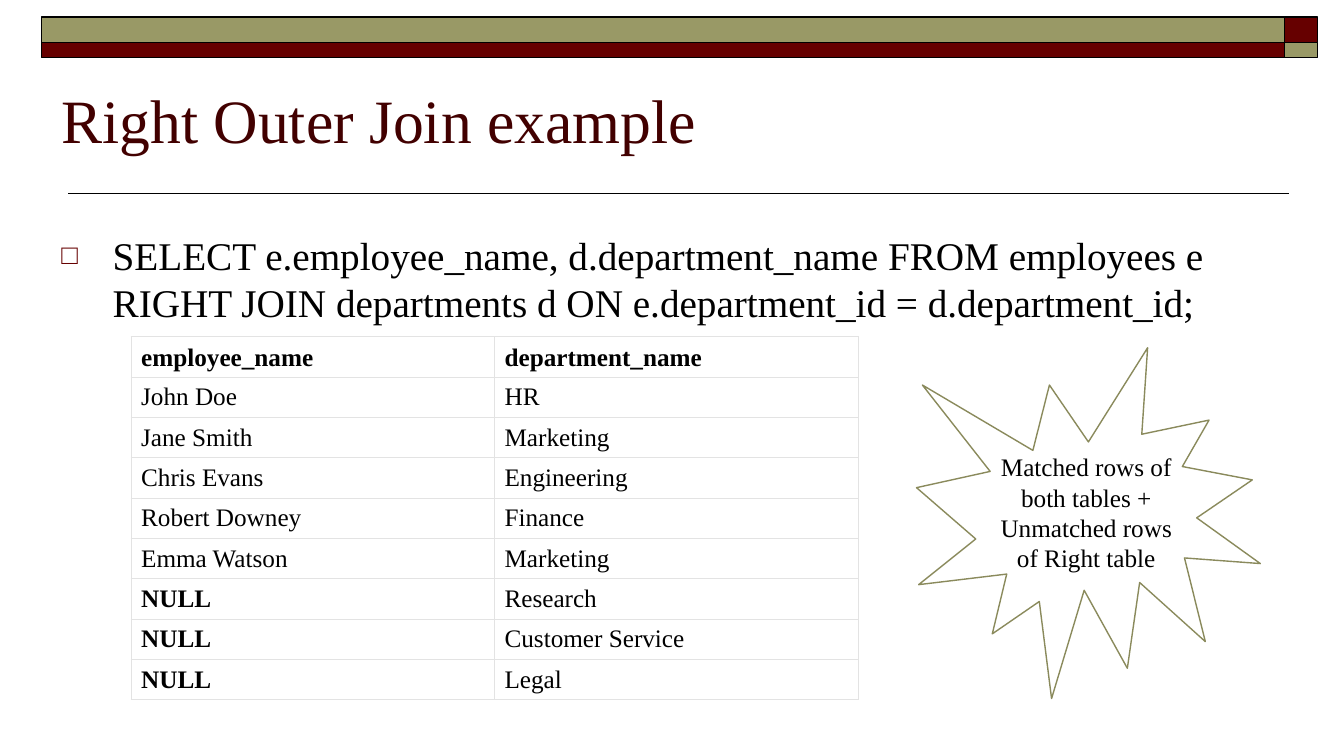
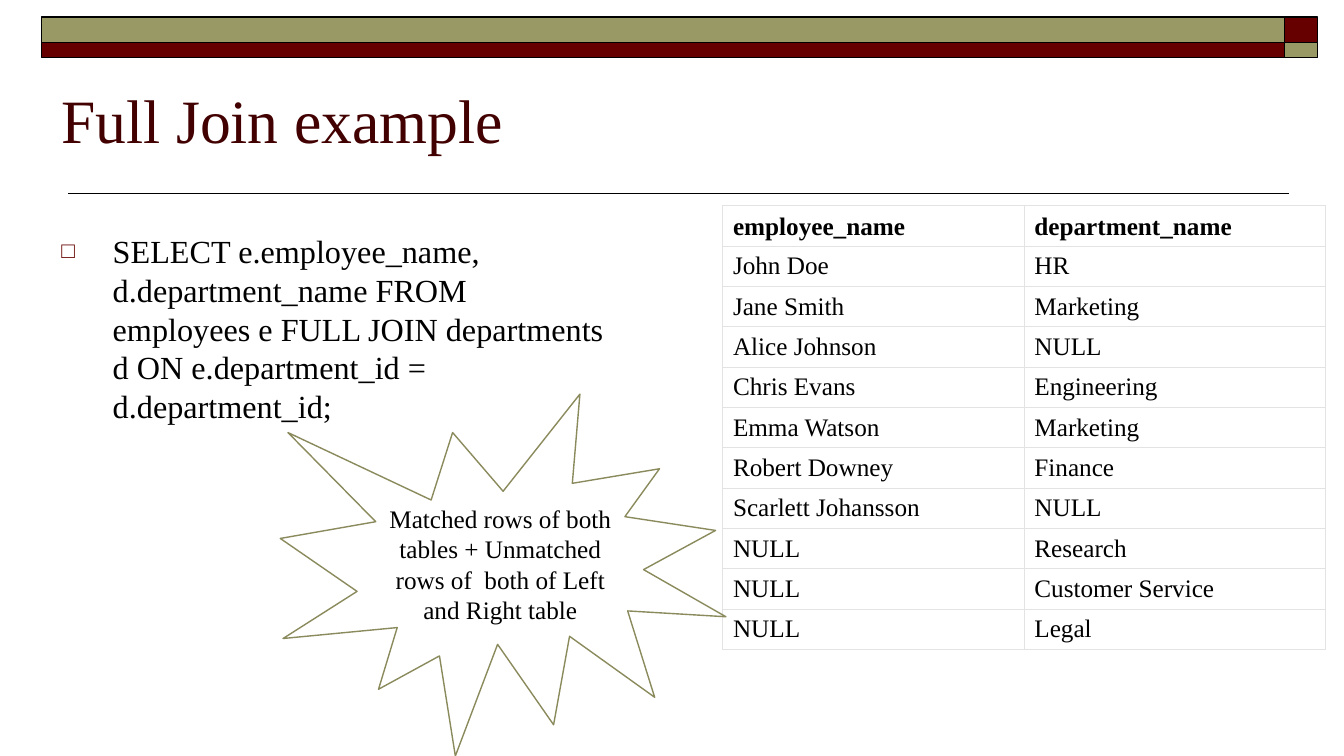
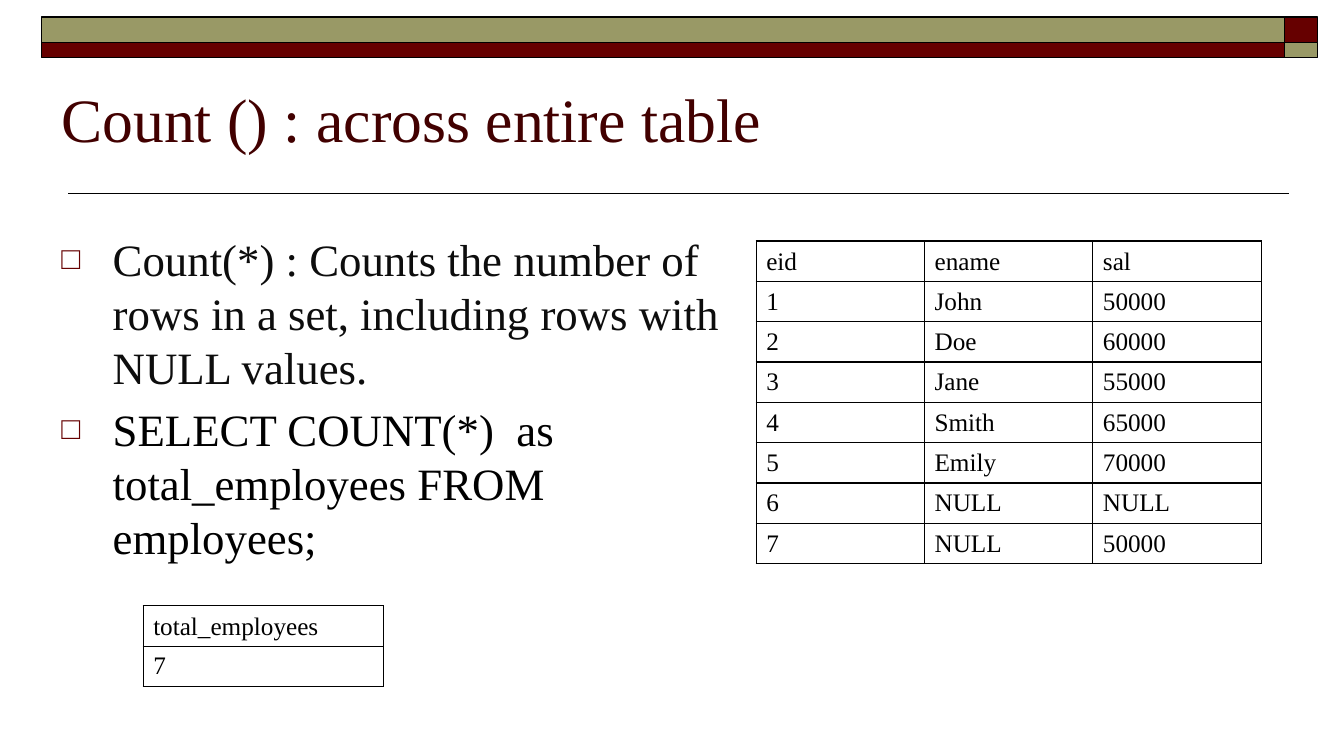
from dataclasses import dataclass
from typing import Any

from lxml.etree import SubElement
from pptx import Presentation
from pptx.dml.color import RGBColor
from pptx.enum.shapes import MSO_CONNECTOR as Connector, MSO_SHAPE as Preset
from pptx.enum.text import MSO_ANCHOR as Anchor, MSO_AUTO_SIZE as AutoSize, PP_ALIGN as Align
from pptx.oxml import parse_xml
from pptx.oxml.ns import nsdecls, qn
from pptx.util import Inches, Pt

FONT = "Times New Roman"
BLACK, WHITE, NEAR_BLACK = "000000", "FFFFFF", "0D0D0D"
MAROON, OLIVE, DARK_OLIVE = "660000", "999966", "8A8A5C"
TITLE_COLOUR, PALE_GREY = "420000", "E3E3E3"
LEFT = 0.51
ROW_HEIGHT = 0.37


@dataclass(frozen=True)
class Box:
    left: float
    top: float
    width: float
    height: float

    def lengths(self) -> tuple:
        return tuple(Inches(value) for value in (self.left, self.top, self.width, self.height))


@dataclass(frozen=True)
class Band:
    box: Box
    colour: str


@dataclass(frozen=True)
class Bullet:
    text: str
    colour: str = BLACK


@dataclass(frozen=True)
class Grid:
    left: float
    top: float
    width: float
    rows: tuple[str, ...]
    border: str = PALE_GREY
    border_points: float = 0.75
    fill: str | None = WHITE
    bold_header: bool = True
    bold_words: tuple[str, ...] = ()


@dataclass(frozen=True)
class Burst:
    box: Box
    text: str


@dataclass(frozen=True)
class Page:
    title: str
    body_width: float
    body_size: float
    bullets: tuple[Bullet, ...]
    grids: tuple[Grid, ...]
    burst: Burst | None = None
    title_top: float = 0.35


BANDS = tuple(
    Band(Box(left, top, width, height), colour)
    for left, width, colours in ((12.74, 0.33, (MAROON, OLIVE)), (0.41, 12.33, (OLIVE, MAROON)))
    for top, height, colour in zip((0.17, 0.42), (0.25, 0.15), colours)
)

PAGES = (
    Page(
        "Right Outer Join example", 12, 28,
        (Bullet("SELECT e.employee_name, d.department_name FROM employees e "
                "RIGHT JOIN departments d ON e.department_id = d.department_id;"),),
        (Grid(1.3, 3.34, 7.21, (
            "employee_name|department_name", "John Doe|HR", "Jane Smith|Marketing",
            "Chris Evans|Engineering", "Robert Downey|Finance", "Emma Watson|Marketing",
            "NULL|Research", "NULL|Customer Service", "NULL|Legal",
        ), bold_words=("NULL",)),),
        Burst(Box(9.09, 3.45, 3.41, 3.48),
              "Matched rows of both tables + Unmatched rows of Right table"),
    ),
    Page(
        "Full Join example", 5.62, 23,
        (Bullet("SELECT e.employee_name, d.department_name FROM employees e "
                "FULL JOIN departments d ON e.department_id = d.department_id;"),),
        (Grid(7.17, 2.04, 5.98, (
            "employee_name|department_name", "John Doe|HR", "Jane Smith|Marketing",
            "Alice Johnson|NULL", "Chris Evans|Engineering", "Emma Watson|Marketing",
            "Robert Downey|Finance", "Scarlett Johansson|NULL", "NULL|Research",
            "NULL|Customer Service", "NULL|Legal",
        )),),
        Burst(Box(2.78, 3.91, 4.42, 3.59),
              "Matched rows of both tables + Unmatched rows of  both of Left and Right table"),
    ),
    Page(
        "Count () : across entire table", 6.73, 32,
        (Bullet("Count(*) : Counts the number of rows in a set, "
                "including rows with NULL values.", NEAR_BLACK),
         Bullet("SELECT COUNT(*)  as total_employees FROM employees;")),
        (Grid(7.5, 2.39, 5.01, (
            "eid|ename|sal", "1|John|50000", "2|Doe|60000", "3|Jane|55000",
            "4|Smith|65000", "5|Emily|70000", "6|NULL|NULL", "7|NULL|50000",
        ), BLACK, 1, None, False),
         Grid(1.42, 6.01, 2.38, ("total_employees", "7"), BLACK, 1, None, False)),
        title_top=0.34,
    ),
)


def rgb(colour: str) -> RGBColor:
    return RGBColor.from_string(colour)


def set_attributes(target: Any, values: dict[str, Any]) -> None:
    for name, value in values.items():
        setattr(target, name, value)


def write(paragraph: Any, text: str, size: float, colour: str, bold: bool = False) -> None:
    run = paragraph.add_run()
    run.text = text
    set_attributes(run.font, {"name": FONT, "size": Pt(size), "bold": bold})
    run.font.color.rgb = rgb(colour)


def draw_shape(slide: Any, preset: Any, box: Box, fill: str, line: str) -> Any:
    shape = slide.shapes.add_shape(preset, *box.lengths())
    shape.shadow.inherit = False
    shape.fill.solid()
    shape.fill.fore_color.rgb = rgb(fill)
    shape.line.color.rgb = rgb(line)
    shape.line.width = Pt(1)
    return shape


def draw_frame(slide: Any) -> None:
    rule = slide.shapes.add_connector(
        Connector.STRAIGHT, Inches(12.78), Inches(1.92), Inches(0.67), Inches(1.92))
    rule.line.color.rgb = rgb(BLACK)
    rule.line.width = Pt(1)
    SubElement(rule._element.spPr, qn("a:effectLst"))
    for band in BANDS:
        draw_shape(slide, Preset.RECTANGLE, band.box, band.colour, BLACK)


def draw_title(slide: Any, page: Page) -> None:
    title = slide.shapes.title
    names = ("left", "top", "width", "height")
    set_attributes(title, dict(zip(names, Box(LEFT, page.title_top, 12, 1.25).lengths())))
    set_attributes(title.text_frame, {
        "auto_size": AutoSize.NONE, "word_wrap": True, "vertical_anchor": Anchor.BOTTOM})
    paragraph = title.text_frame.paragraphs[0]
    paragraph.alignment = Align.LEFT
    write(paragraph, page.title, 44, TITLE_COLOUR)


def add_bullet(paragraph: Any) -> None:
    properties = paragraph._p.get_or_add_pPr()
    properties.set("marL", str(Inches(LEFT)))
    properties.set("indent", str(-Inches(LEFT)))
    for tag in (f'buClr {nsdecls("a")}><a:srgbClr val="{MAROON}"/></a:buClr',
                f'buSzPct {nsdecls("a")} val="70000"/',
                f'buFont {nsdecls("a")} typeface="{FONT}"/',
                f'buChar {nsdecls("a")} char="□"/'):
        properties.append(parse_xml(f"<a:{tag}>"))


def draw_body(slide: Any, page: Page) -> None:
    box = Box(LEFT, 2.25, page.body_width, 4.57)
    frame = slide.shapes.add_textbox(*box.lengths()).text_frame
    frame.word_wrap = True
    for index, bullet in enumerate(page.bullets):
        paragraph = frame.add_paragraph() if index else frame.paragraphs[0]
        add_bullet(paragraph)
        if index:
            paragraph.space_before = Pt(page.body_size * 0.2)
        write(paragraph, bullet.text, page.body_size, bullet.colour)


def format_cell(cell: Any, grid: Grid) -> None:
    properties = cell._tc.get_or_add_tcPr()
    for side in ("lnL", "lnR", "lnT", "lnB"):
        properties.append(parse_xml(
            f'<a:{side} {nsdecls("a")} w="{Pt(grid.border_points)}"><a:solidFill>'
            f'<a:srgbClr val="{grid.border}"/></a:solidFill></a:{side}>'))
    if grid.fill:
        cell.fill.solid()
        cell.fill.fore_color.rgb = rgb(grid.fill)
    else:
        cell.fill.background()


def draw_grid(slide: Any, grid: Grid) -> None:
    rows = [row.split("|") for row in grid.rows]
    box = Box(grid.left, grid.top, grid.width, ROW_HEIGHT * len(rows))
    table = slide.shapes.add_table(len(rows), len(rows[0]), *box.lengths()).table
    set_attributes(table, {"first_row": False, "horz_banding": False})
    for row_index, row in enumerate(rows):
        header = row_index == 0
        for column_index, text in enumerate(row):
            cell = table.cell(row_index, column_index)
            format_cell(cell, grid)
            cell.vertical_anchor = Anchor.BOTTOM if header else Anchor.MIDDLE
            bold = (header and grid.bold_header) or text in grid.bold_words
            write(cell.text_frame.paragraphs[0], text, 18, BLACK, bold)


def draw_burst(slide: Any, burst: Burst) -> None:
    shape = draw_shape(slide, Preset.EXPLOSION1, burst.box, WHITE, DARK_OLIVE)
    set_attributes(shape.text_frame, {"word_wrap": True, "vertical_anchor": Anchor.MIDDLE})
    paragraph = shape.text_frame.paragraphs[0]
    paragraph.alignment = Align.CENTER
    write(paragraph, burst.text, 18, BLACK)


def main() -> None:
    presentation = Presentation()
    set_attributes(presentation, {"slide_width": Inches(13.33), "slide_height": Inches(7.5)})
    title_only = presentation.slide_layouts[5]
    for page in PAGES:
        slide = presentation.slides.add_slide(title_only)
        draw_frame(slide)
        draw_title(slide, page)
        draw_body(slide, page)
        for grid in page.grids:
            draw_grid(slide, grid)
        if page.burst:
            draw_burst(slide, page.burst)
    presentation.save("out.pptx")


if __name__ == "__main__":
    main()
